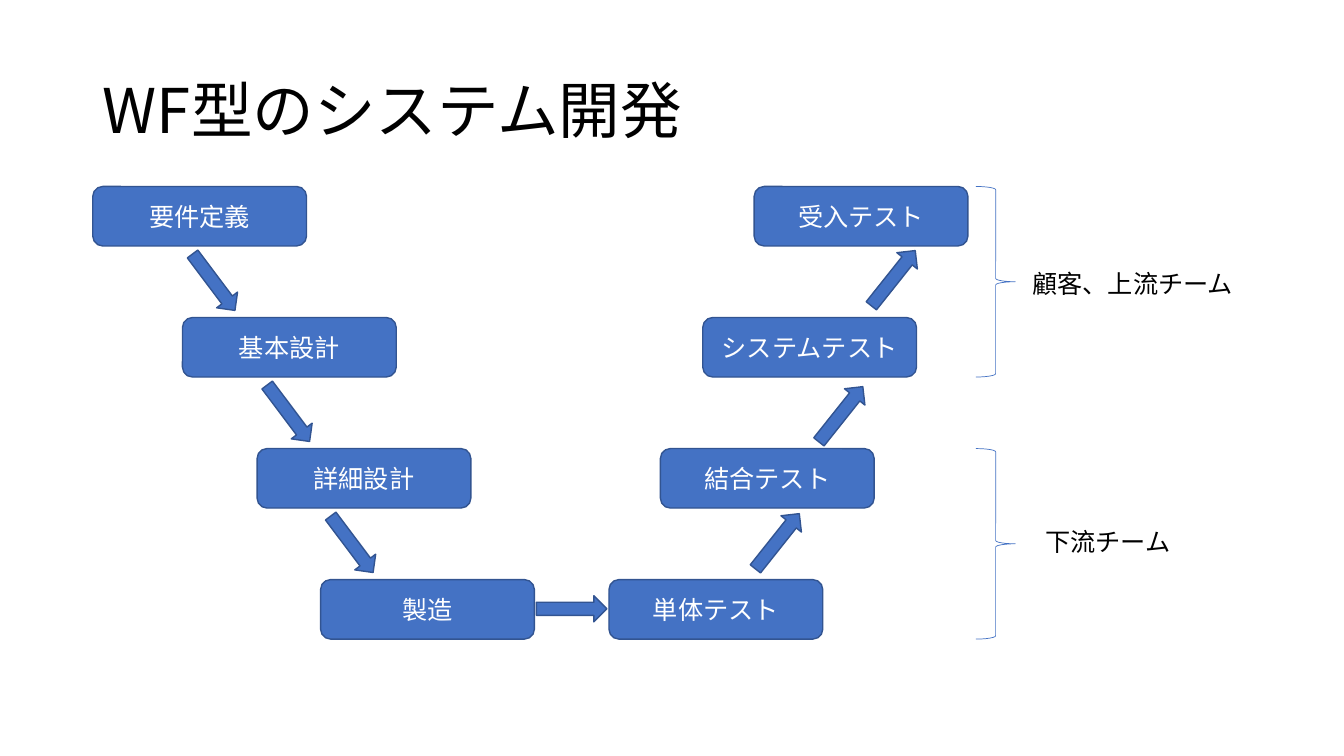
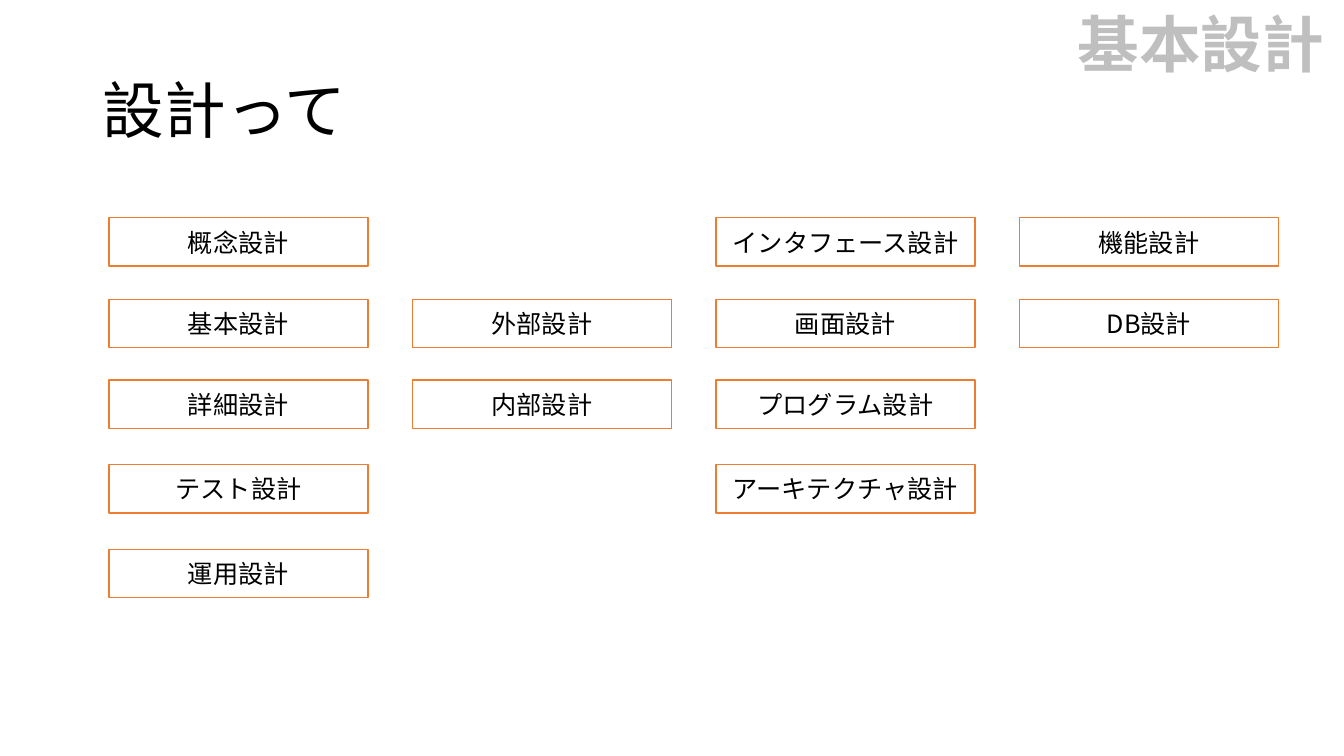
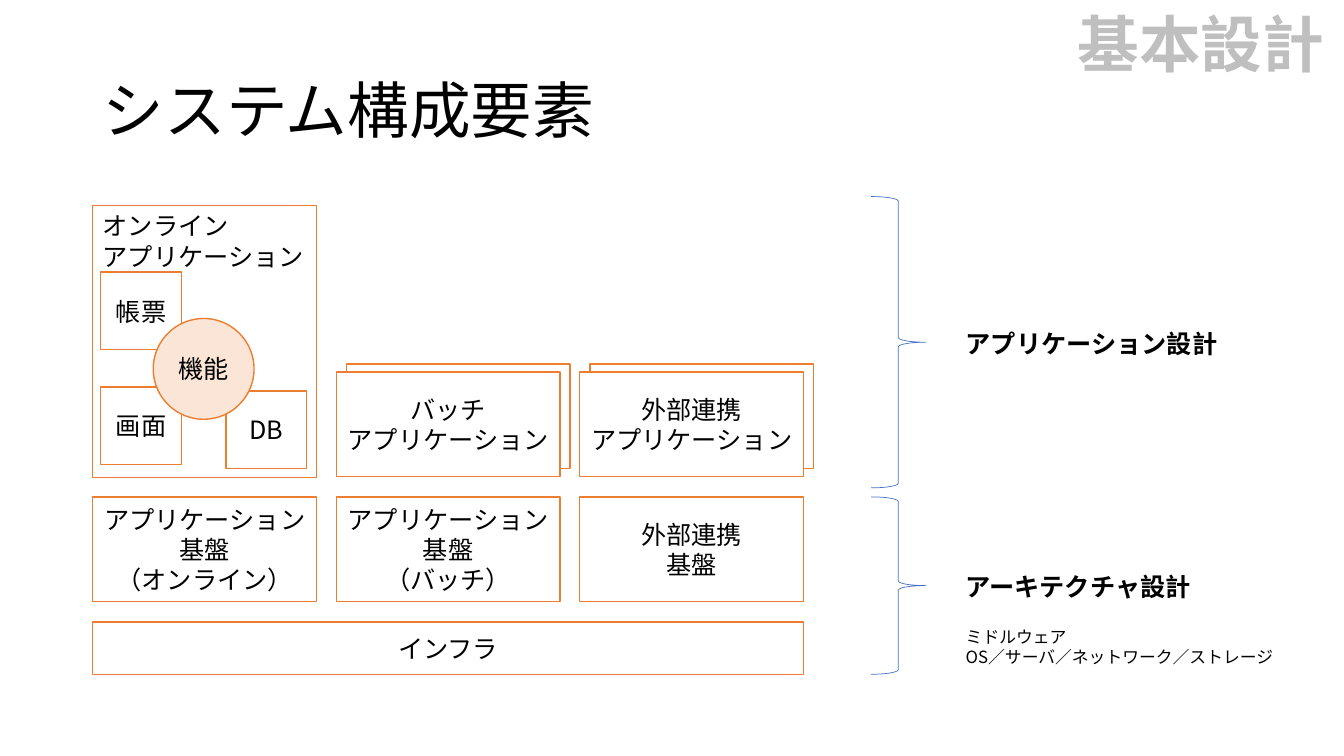
from lxml import etree
from pptx import Presentation
from pptx.dml.color import RGBColor
from pptx.enum.shapes import MSO_SHAPE
from pptx.enum.text import MSO_ANCHOR, MSO_AUTO_SIZE, PP_ALIGN
from pptx.oxml.ns import qn
from pptx.util import Inches, Pt

RECT = MSO_SHAPE.RECTANGLE
ROUNDED = MSO_SHAPE.ROUNDED_RECTANGLE
OVAL = MSO_SHAPE.OVAL
ARROW = MSO_SHAPE.RIGHT_ARROW
BRACE = MSO_SHAPE.RIGHT_BRACE
LEFT, CENTER = PP_ALIGN.LEFT, PP_ALIGN.CENTER
TOP, MIDDLE = MSO_ANCHOR.TOP, MSO_ANCHOR.MIDDLE
NO_AUTOSIZE = MSO_AUTO_SIZE.NONE

BLACK = RGBColor(0x00, 0x00, 0x00)
WHITE = RGBColor(0xFF, 0xFF, 0xFF)
GRAY = RGBColor(0xBF, 0xBF, 0xBF)
BLUE = RGBColor(0x44, 0x72, 0xC4)
NAVY = RGBColor(0x32, 0x54, 0x91)
ORANGE = RGBColor(0xED, 0x7D, 0x31)
PEACH = RGBColor(0xFB, 0xE5, 0xD6)

FONT = "Noto Sans CJK JP"
SLIDE_W, SLIDE_H = 13.33, 7.5
MARGIN = 0.92


def write(holder, text, size=18, color=BLACK, bold=False, align=LEFT,
          anchor=TOP, spacing=1.0, wrap=True):
    frame = holder.text_frame
    frame.auto_size = NO_AUTOSIZE
    frame.word_wrap = wrap
    frame.vertical_anchor = anchor
    frame.text = text
    for paragraph in frame.paragraphs:
        paragraph.alignment = align
        paragraph.line_spacing = spacing
        for run in paragraph.runs:
            run.font.name = FONT
            run.font.size = Pt(size)
            run.font.bold = bold
            run.font.color.rgb = color
            east_asian = etree.SubElement(run.font._element, qn("a:ea"))
            east_asian.set("typeface", FONT)


def place(holder, x, y, w, h):
    holder.left, holder.top = Inches(x), Inches(y)
    holder.width, holder.height = Inches(w), Inches(h)


def figure(slide, kind, x, y, w, h, fill=None, line=ORANGE, weight=1, turn=0):
    shape = slide.shapes.add_shape(kind, Inches(x), Inches(y), Inches(w), Inches(h))
    shape.shadow.inherit = False
    shape.rotation = turn
    if fill is None:
        shape.fill.background()
    else:
        shape.fill.solid()
        shape.fill.fore_color.rgb = fill
    shape.line.color.rgb = line
    shape.line.width = Pt(weight)
    return shape


def box(slide, text, x, y, w, h, kind=RECT, fill=None, line=ORANGE,
        color=BLACK, align=CENTER, anchor=MIDDLE):
    shape = figure(slide, kind, x, y, w, h, fill, line)
    write(shape, text, color=color, align=align, anchor=anchor, wrap=kind != OVAL)


def label(slide, text, x, y, w, h, **text_format):
    area = slide.shapes.add_textbox(Inches(x), Inches(y), Inches(w), Inches(h))
    write(area, text, **text_format)


def brace(slide, x, y, w, h):
    figure(slide, BRACE, x, y, w, h, line=BLUE, weight=0.5)


def flow_arrow(slide, x, y, turn=0):
    figure(slide, ARROW, x, y, 0.7, 0.26, BLUE, NAVY, turn=turn)


def new_slide(deck, heading, section=None):
    slide = deck.slides.add_slide(deck.slide_layouts[5])
    title = slide.shapes.title
    place(title, MARGIN, 0.4, SLIDE_W - 2 * MARGIN, 1.45)
    write(title, heading, size=44, anchor=MIDDLE, spacing=0.9)
    if section:
        label(slide, section, SLIDE_W - 2.74, 0.08, 2.74, 0.79, size=44,
              color=GRAY, bold=True, anchor=MIDDLE, spacing=0.9)
    return slide


def waterfall_slide(deck):
    slide = new_slide(deck, "WF型のシステム開発")
    first_row, row_pitch, step_w, step_h = 1.85, 1.3, 2.12, 0.59
    levels = [
        ("要件定義", MARGIN, "受入テスト", 7.48),
        ("基本設計", 1.81, "システムテスト", 6.97),
        ("詳細設計", 2.55, "結合テスト", 6.55),
        ("製造", 3.18, "単体テスト", 6.04),
    ]
    for level, (build, build_x, test, test_x) in enumerate(levels):
        y = first_row + level * row_pitch
        for step, x in ((build, build_x), (test, test_x)):
            box(slide, step, x, y, step_w, step_h, ROUNDED, BLUE, NAVY, WHITE)
        if level:
            flow_arrow(slide, build_x - 0.04, y - 0.48, turn=53.1)
    flow_arrow(slide, 5.32, 5.91)
    for x, y in ((7.36, 5.24), (7.99, 3.98), (8.51, 2.63)):
        flow_arrow(slide, x, y, turn=308.5)

    teams = [("顧客、上流チーム", 10.14, 2.61, 2.22), ("下流チーム", 10.27, 5.17, 1.46)]
    for half, (team, x, y, w) in enumerate(teams):
        brace(slide, 9.68, first_row + 2 * half * row_pitch, 0.39, row_pitch + step_h)
        label(slide, team, x, y, w, 0.4, wrap=False)


def design_kinds_slide(deck):
    slide = new_slide(deck, "設計って", "基本設計")
    first_column, column_pitch = 1.08, 3.01
    rows = [
        (2.16, ["概念設計", None, "インタフェース設計", "機能設計"]),
        (2.97, ["基本設計", "外部設計", "画面設計", "DB設計"]),
        (3.77, ["詳細設計", "内部設計", "プログラム設計"]),
        (4.61, ["テスト設計", None, "アーキテクチャ設計"]),
        (5.45, ["運用設計"]),
    ]
    for y, designs in rows:
        for column, design in enumerate(designs):
            if design:
                box(slide, design, first_column + column * column_pitch, y, 2.57, 0.48)


def components_slide(deck):
    slide = new_slide(deck, "システム構成要素", "基本設計")
    block_w, block_h, total_w = 2.22, 1.04, 7.05
    app_y, base_y, infra_y, infra_h = 3.69, 4.93, 6.17, 0.52
    columns = [MARGIN + i * (total_w - block_w) / 2 for i in range(3)]

    apps = ["バッチ\nアプリケーション", "外部連携\nアプリケーション"]
    for app, x in zip(apps, columns[1:]):
        figure(slide, RECT, x + 0.1, app_y - 0.08, block_w, block_h)
        box(slide, app, x, app_y, block_w, block_h, fill=WHITE)

    bases = ["アプリケーション\n基盤\n（オンライン）", "アプリケーション\n基盤\n（バッチ）",
             "外部連携\n基盤"]
    for base, x in zip(bases, columns):
        box(slide, base, x, base_y, block_w, block_h)
    box(slide, "インフラ", MARGIN, infra_y, total_w, infra_h)

    box(slide, "オンライン\nアプリケーション", MARGIN, 2.04, block_w, 2.7,
        align=LEFT, anchor=TOP)
    for part, x, y in (("帳票", 1, 2.7), ("画面", 1, 3.84), ("DB", 2.24, 3.88)):
        box(slide, part, x, y, 0.8, 0.77)
    box(slide, "機能", 1.52, 3.16, 1, 1, OVAL, PEACH)

    brace(slide, 8.64, 1.95, 0.54, 2.89)
    brace(slide, 8.64, base_y, 0.54, infra_y + infra_h - base_y)
    notes_x = 9.48
    label(slide, "アプリケーション設計", notes_x, 3.21, 2.73, 0.4, bold=True, wrap=False)
    label(slide, "アーキテクチャ設計", notes_x, 5.62, 2.47, 0.4, bold=True, wrap=False)
    label(slide, "ミドルウェア\nOS／サーバ／ネットワーク／ストレージ",
          notes_x, infra_y, 3.29, 0.5, size=12, wrap=False)


def main():
    deck = Presentation()
    deck.slide_width, deck.slide_height = Inches(SLIDE_W), Inches(SLIDE_H)
    waterfall_slide(deck)
    design_kinds_slide(deck)
    components_slide(deck)
    deck.save("out.pptx")


main()
